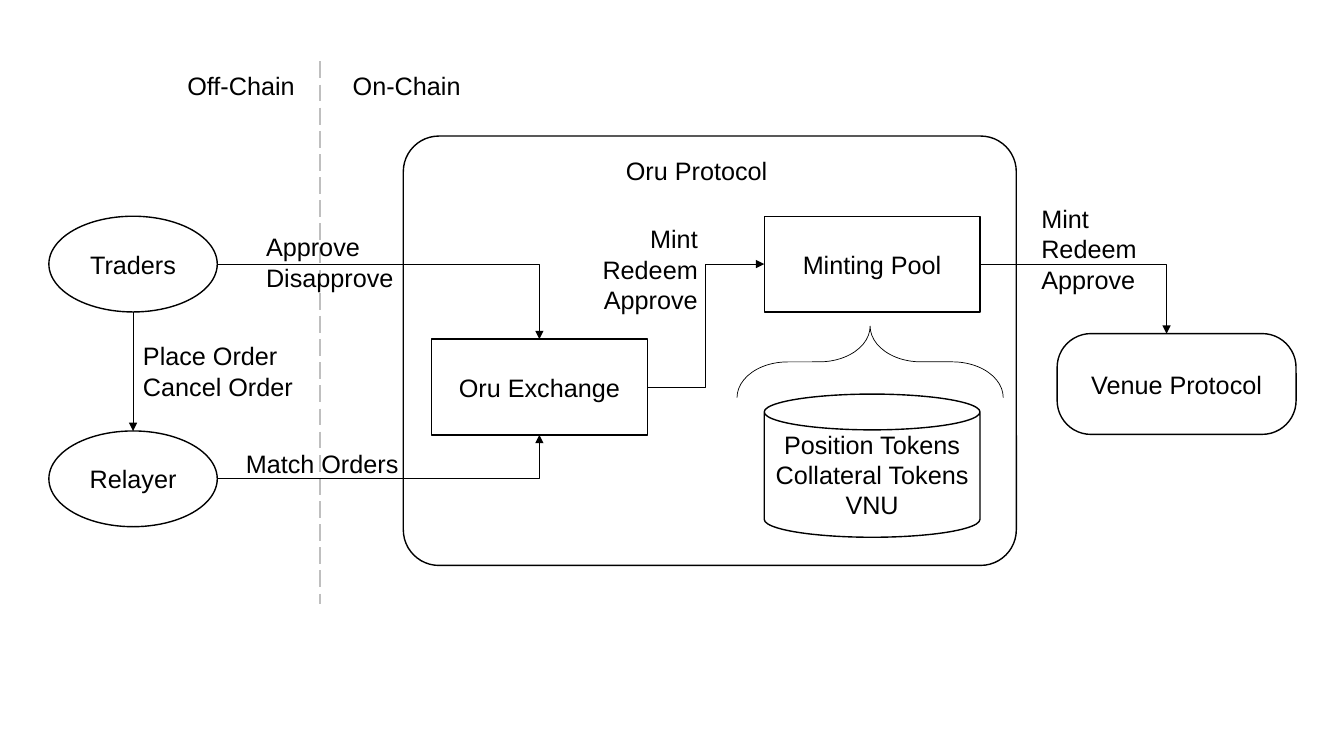
import pptx
import pptx.util
import pptx.dml.color
import pptx.enum.dml
import pptx.enum.shapes
import pptx.enum.text
import pptx.oxml
from pptx.oxml.ns import qn
from dataclasses import dataclass

SHAPE = pptx.enum.shapes.MSO_SHAPE
LINK = pptx.enum.shapes.MSO_CONNECTOR
ALIGN = pptx.enum.text.PP_ALIGN
inch = pptx.util.Inches


@dataclass(frozen=True)
class Theme:
    font: str = "Arial"
    text_size: float = 18
    ink: str = "000000"
    divider: str = "BFBFBF"
    outline: float = 1
    thin: float = 0.5
    divider_width: float = 1.5
    line_height: float = 0.305
    text_inset: float = 0.1


THEME = Theme()

# Grid: column and row centres, and common node sizes (inches)
COL = {"actors": 1.32, "exchange": 5.35, "protocol": 7.04, "pool": 8.65, "market": 11.67}
ROW = {"traders": 2.62, "protocol": 3.48, "exchange": 3.84, "market": 3.81,
       "tokens": 4.62, "relayer": 4.75}
ACTOR, BOX = (1.67, 0.95), (2.14, 0.95)

# Content: name -> (preset, column, row, size, lines, adjustments)
NODES = {
    "protocol": (SHAPE.ROUNDED_RECTANGLE, "protocol", "protocol", (6.08, 4.26), [], [0.083]),
    "traders": (SHAPE.OVAL, "actors", "traders", ACTOR, ["Traders"], []),
    "relayer": (SHAPE.OVAL, "actors", "relayer", ACTOR, ["Relayer"], []),
    "exchange": (SHAPE.RECTANGLE, "exchange", "exchange", BOX, ["Oru Exchange"], []),
    "pool": (SHAPE.RECTANGLE, "pool", "traders", BOX, ["Minting Pool"], []),
    "tokens": (SHAPE.CAN, "pool", "tokens", (2.14, 1.42),
               ["Position Tokens", "Collateral Tokens", "VNU"], []),
    "market": (SHAPE.ROUNDED_RECTANGLE, "market", "market", (2.37, 1), ["Venue Protocol"], [0.336]),
}
POOL_CALLS = ["Mint", "Redeem", "Approve"]
# Labels: (left, top, width, lines, alignment)
LABELS = [
    (1.76, 0.65, 1.28, ["Off-Chain"], ALIGN.LEFT),
    (3.4, 0.65, 1.28, ["On-Chain"], ALIGN.LEFT),
    (6.11, 1.49, 1.6, ["Oru Protocol"], ALIGN.LEFT),
    (2.54, 2.25, 1.48, ["Approve", "Disapprove"], ALIGN.LEFT),
    (1.32, 3.33, 1.7, ["Place Order", "Cancel Order"], ALIGN.LEFT),
    (2.34, 4.4, 1.73, ["Match Orders"], ALIGN.LEFT),
    (5.86, 2.17, 1.16, POOL_CALLS, ALIGN.RIGHT),
    (10.23, 1.97, 1.16, POOL_CALLS, ALIGN.LEFT),
]
DIVIDER = ((3.17, 0.61), (3.17, 5.99))
MARKET_ENTRY = 11.57


def color(code):
    return pptx.dml.color.RGBColor.from_string(code)


def write(frame, lines, align):
    frame.text = "\n".join(lines)
    for paragraph in frame.paragraphs:
        paragraph.alignment = align
        paragraph.font.name = THEME.font
        paragraph.font.size = pptx.util.Pt(THEME.text_size)
        paragraph.font.color.rgb = color(THEME.ink)


def outline(part, width, code=THEME.ink):
    part.line.color.rgb = color(code)
    part.line.width = pptx.util.Pt(width)


def add_preset(slide, preset, center, size, line_width, adjustments):
    left, top = (c - s / 2 for c, s in zip(center, size))
    part = slide.shapes.add_shape(preset, *map(inch, (left, top, *size)))
    part.shadow.inherit = False
    part.fill.background()
    outline(part, line_width)
    for index, value in enumerate(adjustments):
        part.adjustments[index] = value
    return part


def add_node(slide, preset, column, row, size, lines, adjustments):
    node = add_preset(slide, preset, (COL[column], ROW[row]), size, THEME.outline, adjustments)
    if lines:
        frame = node.text_frame
        frame.margin_left = frame.margin_right = 0
        frame.vertical_anchor = pptx.enum.text.MSO_ANCHOR.MIDDLE
        write(frame, lines, ALIGN.CENTER)
    return node


def add_label(slide, left, top, width, lines, align):
    height = THEME.text_inset + THEME.line_height * len(lines)
    frame = slide.shapes.add_textbox(*map(inch, (left, top, width, height))).text_frame
    frame.word_wrap = False
    frame.auto_size = pptx.enum.text.MSO_AUTO_SIZE.SHAPE_TO_FIT_TEXT
    write(frame, lines, align)


def add_line(slide, kind, start, end, width=THEME.thin, code=THEME.ink):
    link = slide.shapes.add_connector(kind, *map(inch, (*start, *end)))
    outline(link, width, code)
    link._element.spPr.append(pptx.oxml.parse_xml(
        '<a:effectLst xmlns:a="http://schemas.openxmlformats.org/drawingml/2006/main"/>'))
    return link


def add_arrow(slide, kind, start, end, one_bend=False):
    link = add_line(slide, kind, start, end)
    head = link.line._get_or_add_ln().makeelement(qn("a:tailEnd"), {"type": "triangle"})
    link.line._get_or_add_ln().append(head)
    if one_bend:
        link._element.spPr.find(qn("a:prstGeom")).set("prst", "bentConnector2")
    return link


def side(name, dx, dy):
    """Point on a node's edge; dx and dy are -1, 0 or 1 from its centre."""
    _, column, row, (width, height), *_ = NODES[name]
    return COL[column] + dx * width / 2, ROW[row] + dy * height / 2


def main():
    deck = pptx.Presentation()
    deck.slide_width, deck.slide_height = inch(13.33), inch(7.5)
    slide = deck.slides.add_slide(deck.slide_layouts[6])

    # Nodes, and the brace that ties the tokens to the pool
    nodes = {name: add_node(slide, *node) for name, node in NODES.items()}
    brace = add_preset(slide, SHAPE.LEFT_BRACE, (8.63, 3.59), (0.71, 2.64), THEME.thin, [0.71, 0.5])
    brace.rotation = 90

    # Boundary between off-chain and on-chain
    divider = add_line(slide, LINK.STRAIGHT, *DIVIDER, THEME.divider_width, THEME.divider)
    divider.line.dash_style = pptx.enum.dml.MSO_LINE.LONG_DASH

    # Flow arrows
    add_arrow(slide, LINK.STRAIGHT, side("traders", 0, 1), side("relayer", 0, -1))
    add_arrow(slide, LINK.ELBOW, side("traders", 1, 0), side("exchange", 0, -1), True)
    add_arrow(slide, LINK.ELBOW, side("relayer", 1, 0), side("exchange", 0, 1), True)
    add_arrow(slide, LINK.ELBOW, side("pool", 1, 0),
              (MARKET_ENTRY, side("market", 0, -1)[1]), True)
    minting = add_arrow(slide, LINK.ELBOW, side("exchange", 1, 0), side("pool", -1, 0))
    minting.begin_connect(nodes["exchange"], 3)
    minting.end_connect(nodes["pool"], 1)

    # Labels
    for label in LABELS:
        add_label(slide, *label)

    deck.save("out.pptx")


if __name__ == "__main__":
    main()
